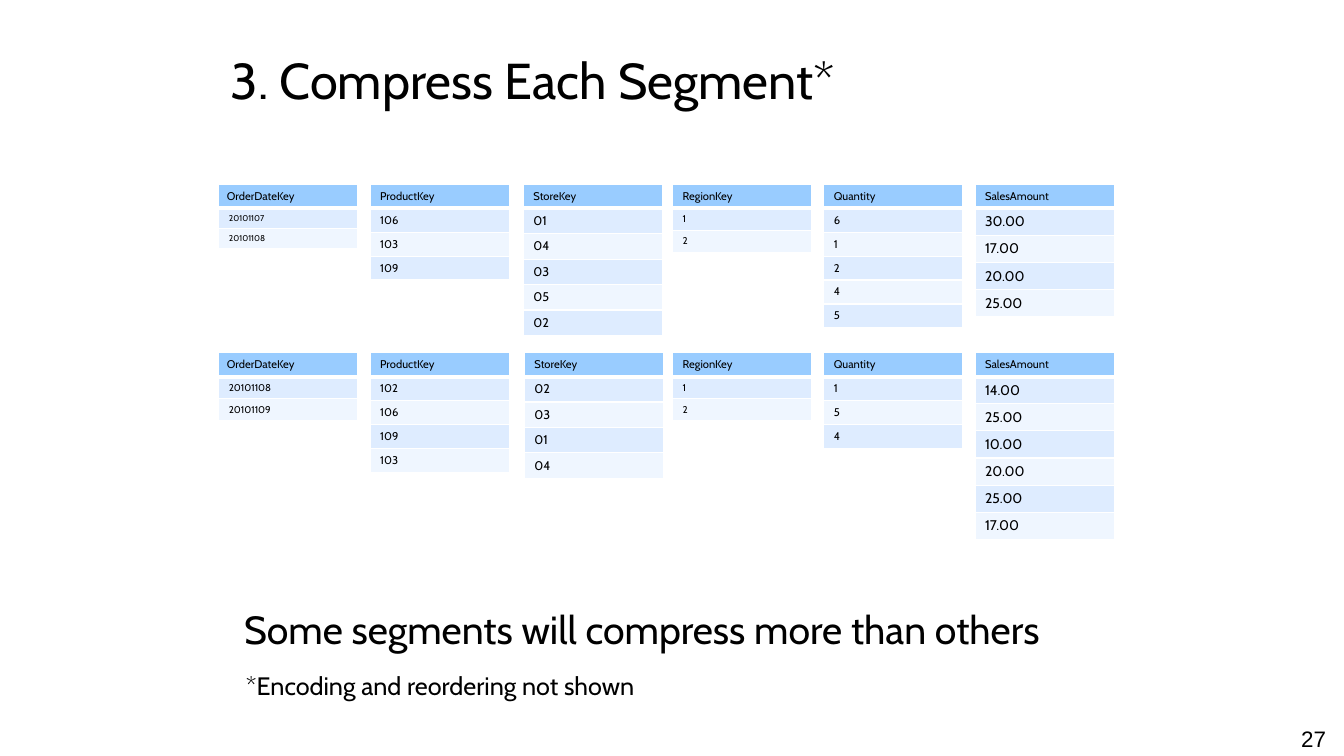
import pptx
import pptx.dml.color
import pptx.enum.text
import pptx.oxml
import pptx.oxml.ns
import pptx.util

Inches = pptx.util.Inches
Pt = pptx.util.Pt
Anchor = pptx.enum.text.MSO_ANCHOR
Align = pptx.enum.text.PP_ALIGN

THEME = {
    "font": "Cabin", "number_font": "Arial",
    "text": "000000", "header": "99CCFF", "bands": ["DEECFF", "EFF6FF"], "border": "FFFFFF",
    "title": 36, "message": 28, "footnote": 18, "number": 16, "table_header": 8,
}
ROW_HEIGHTS = {6: 0.2, 7: 0.21, 8: 0.23, 9: 0.25, 10: 0.26}


def write(frame, text, size, font=THEME["font"], align=Align.LEFT):
    para = frame.paragraphs[0]
    para.alignment = align
    span = para.add_run()
    span.text = text
    for name, value in {"name": font, "size": Pt(size)}.items():
        setattr(span.font, name, value)
    span.font.color.rgb = pptx.dml.color.RGBColor.from_string(THEME["text"])


def style_cell(cell, fill, bottom_width):
    """Give a cell white borders and a solid fill."""
    properties = cell._tc.get_or_add_tcPr()
    for side, width in {"L": 1, "R": 1, "T": 1, "B": bottom_width}.items():
        properties.append(pptx.oxml.parse_xml(
            f'<a:ln{side} {pptx.oxml.ns.nsdecls("a")} w="{Pt(width)}"><a:solidFill>'
            f'<a:srgbClr val="{THEME["border"]}"/></a:solidFill></a:ln{side}>'))
    cell.fill.solid()
    cell.fill.fore_color.rgb = pptx.dml.color.RGBColor.from_string(fill)


deck = pptx.Presentation()
deck.slide_width, deck.slide_height = Inches(13.33), Inches(7.5)
page = deck.slides.add_slide(deck.slide_layouts[6])

# Each segment: top, then (column name, body size, shift from the grid, values)
segments = [
    (1.83, [
        ("OrderDateKey", 6, 0, ["20101107", "20101108"]),
        ("ProductKey", 8, 0, ["106", "103", "109"]),
        ("StoreKey", 9, 0.02, ["01", "04", "03", "05", "02"]),
        ("RegionKey", 7, 0, ["1", "2"]),
        ("Quantity", 8, 0, ["6", "1", "2", "4", "5"]),
        ("SalesAmount", 10, 0, ["30.00", "17.00", "20.00", "25.00"]),
    ]),
    (3.5, [
        ("OrderDateKey", 7, 0, ["20101108", "20101109"]),
        ("ProductKey", 8, 0, ["102", "106", "109", "103"]),
        ("StoreKey", 9, 0.03, ["02", "03", "01", "04"]),
        ("RegionKey", 7, 0, ["1", "2"]),
        ("Quantity", 8, 0, ["1", "5", "4"]),
        ("SalesAmount", 10, 0, ["14.00", "25.00", "10.00", "20.00", "25.00", "17.00"]),
    ]),
]
for top, columns in segments:
    for position, (heading, body_size, shift, values) in enumerate(columns):
        sizes = [THEME["table_header"]] + [body_size] * len(values)
        heights = [ROW_HEIGHTS[size] for size in sizes]
        table = page.shapes.add_table(
            len(sizes), 1, Inches(2.17 + 1.5 * position + shift), Inches(top),
            Inches(1.38), Inches(sum(heights))).table
        for row, text in enumerate([heading] + values):
            table.rows[row].height = Inches(heights[row])
            cell = table.cell(row, 0)
            if row == 0:
                style_cell(cell, THEME["header"], 3)
            else:
                style_cell(cell, THEME["bands"][(row - 1) % 2], 1)
            cell.margin_left = Inches(0.08 if text == "OrderDateKey" else 0.1)
            write(cell.text_frame, text, sizes[row])

# Text, place, size, font, alignment, anchor, side inset, top inset
texts = [
    ("3. Compress Each Segment*", (2.19, 0.37, 9, 0.83), THEME["title"],
     THEME["font"], Align.LEFT, Anchor.MIDDLE, 0.1, 0.05),
    ("Some segments will compress more than others", (2.42, 6.01, 8.75, 0.47), THEME["message"],
     THEME["font"], Align.LEFT, Anchor.TOP, 0, 0),
    ("*Encoding and reordering not shown", (2.44, 6.65, 5.44, 0.3), THEME["footnote"],
     THEME["font"], Align.LEFT, Anchor.TOP, 0, 0),
    ("27", (12.67, 7.14, 0.58, 0.33), THEME["number"],
     THEME["number_font"], Align.RIGHT, Anchor.TOP, 0.1, 0.05),
]
for text, place, size, font, align, anchor, side, edge in texts:
    box = page.shapes.add_textbox(*map(Inches, place))
    frame_format = {
        "word_wrap": True, "vertical_anchor": anchor,
        "margin_left": Inches(side), "margin_right": Inches(side),
        "margin_top": Inches(edge), "margin_bottom": Inches(edge),
    }
    for name, value in frame_format.items():
        setattr(box.text_frame, name, value)
    write(box.text_frame, text, size, font, align)

deck.save("out.pptx")
